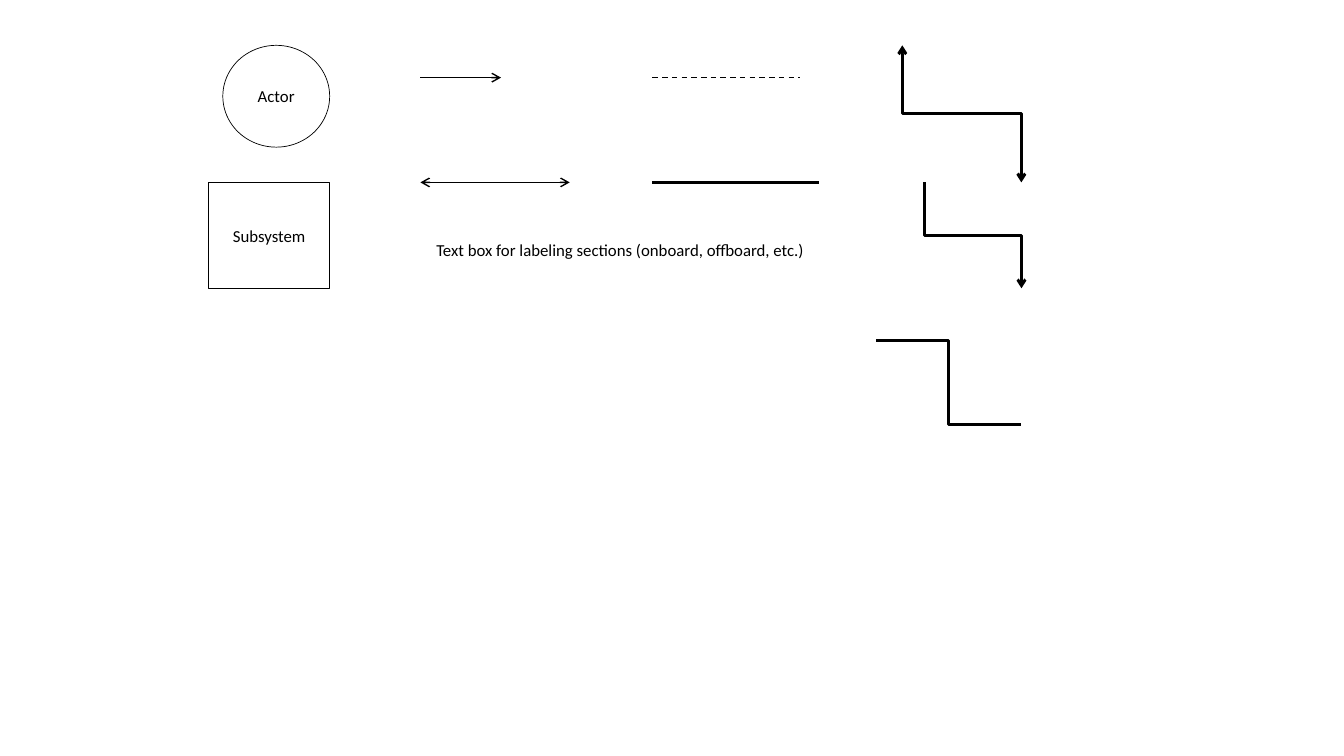
from typing import NamedTuple

import pptx
import pptx.dml.color
import pptx.enum.dml
import pptx.enum.shapes
import pptx.enum.text
import pptx.oxml
import pptx.oxml.ns
import pptx.util

BLACK = pptx.dml.color.RGBColor(0, 0, 0)
FONT = "Calibri"
SIZE = pptx.util.Pt(12)
WIDE = pptx.util.Inches(13.33)
HIGH = pptx.util.Inches(7.5)
KIND = pptx.enum.shapes.MSO_SHAPE
LINK = pptx.enum.shapes.MSO_CONNECTOR

# Shared guides, in percent of the slide's width or height
ARROW_X, LINE_X, END_X = 31.28, 48.54, 76
TOP, UPPER, MIDDLE = 6, 10.27, 24.13


class Node(NamedTuple):
    kind: KIND
    text: str
    left: float
    top: float
    width: float
    height: float


class Link(NamedTuple):
    x1: float
    y1: float
    x2: float
    y2: float
    weight: float = 1
    head: bool = False
    tail: bool = False
    dash: bool = False
    elbow: bool = False
    upright: bool = False  # leaves its start vertically


NODES = [
    Node(KIND.RECTANGLE, "Subsystem", 15.53, MIDDLE, 9, 14),
    Node(KIND.OVAL, "Actor", 16.58, TOP, 7.95, 13.47),
]
LINKS = [
    Link(ARROW_X, UPPER, 37.28, UPPER, tail=True),
    Link(ARROW_X, MIDDLE, 42.39, MIDDLE, head=True, tail=True),
    Link(LINE_X, UPPER, 59.56, UPPER, dash=True),
    Link(LINE_X, MIDDLE, 60.92, MIDDLE, 2),
    Link(67.14, TOP, END_X, MIDDLE, 2, head=True, tail=True,
         elbow=True, upright=True),
    Link(68.79, MIDDLE, END_X, 38.13, 2, tail=True, elbow=True, upright=True),
    Link(65.19, 45.07, END_X, 56.13, 2, elbow=True),
]


def across(share: float) -> int:
    return round(WIDE * share / 100)


def down(share: float) -> int:
    return round(HIGH * share / 100)


def write(frame, text: str) -> None:
    run = frame.paragraphs[0].add_run()
    run.text = text
    run.font.name = FONT
    run.font.size = SIZE
    run.font.color.rgb = BLACK


def draw_node(slide, node: Node) -> None:
    shape = slide.shapes.add_shape(
        node.kind, across(node.left), down(node.top),
        across(node.width), down(node.height))
    shape.shadow.inherit = False
    shape.fill.background()
    shape.line.color.rgb = BLACK
    shape.line.width = pptx.util.Pt(0.5)
    frame = shape.text_frame
    frame.vertical_anchor = pptx.enum.text.MSO_ANCHOR.MIDDLE
    frame.paragraphs[0].alignment = pptx.enum.text.PP_ALIGN.CENTER
    write(frame, node.text)


def draw_link(slide, link: Link) -> None:
    x1, y1 = across(link.x1), down(link.y1)
    x2, y2 = across(link.x2), down(link.y2)
    if link.upright:
        # Mirrored frame with swapped sides, turned about its centre below
        mid_x, mid_y = (x1 + x2) // 2, (y1 + y2) // 2
        half_w, half_h = (y2 - y1) // 2, (x2 - x1) // 2
        x1, x2 = mid_x + half_w, mid_x - half_w
        y1, y2 = mid_y - half_h, mid_y + half_h
    kind = LINK.ELBOW if link.elbow else LINK.STRAIGHT
    wire = slide.shapes.add_connector(kind, x1, y1, x2, y2)
    wire.line.color.rgb = BLACK
    wire.line.width = pptx.util.Pt(link.weight)
    if link.dash:
        wire.line.dash_style = pptx.enum.dml.MSO_LINE.DASH
    props = wire._element.spPr
    if link.upright:
        props.find(pptx.oxml.ns.qn("a:xfrm")).set("rot", str(270 * 60000))
    stroke = props.find(pptx.oxml.ns.qn("a:ln"))
    for tag, shown in (("headEnd", link.head), ("tailEnd", link.tail)):
        if shown:
            add_tag(stroke, tag).set("type", "arrow")
    add_tag(props, "effectLst")


def add_tag(owner, tag: str):
    names = pptx.oxml.ns.nsdecls("a")
    item = pptx.oxml.parse_xml(f"<a:{tag} {names}/>")
    owner.append(item)
    return item


def draw_label(slide, text: str) -> None:
    box = slide.shapes.add_textbox(
        across(31.73), down(31.07), across(29.18), down(4))
    frame = box.text_frame
    frame.word_wrap = False
    frame.auto_size = pptx.enum.text.MSO_AUTO_SIZE.SHAPE_TO_FIT_TEXT
    write(frame, text)


deck = pptx.Presentation()
deck.slide_width, deck.slide_height = WIDE, HIGH
slide = deck.slides.add_slide(deck.slide_layouts[6])

# Actors and subsystems
for node in NODES:
    draw_node(slide, node)

# Arrows, lines and elbows
for link in LINKS:
    draw_link(slide, link)

# Section label
draw_label(slide, "Text box for labeling sections (onboard, offboard, etc.)")

deck.save("out.pptx")
